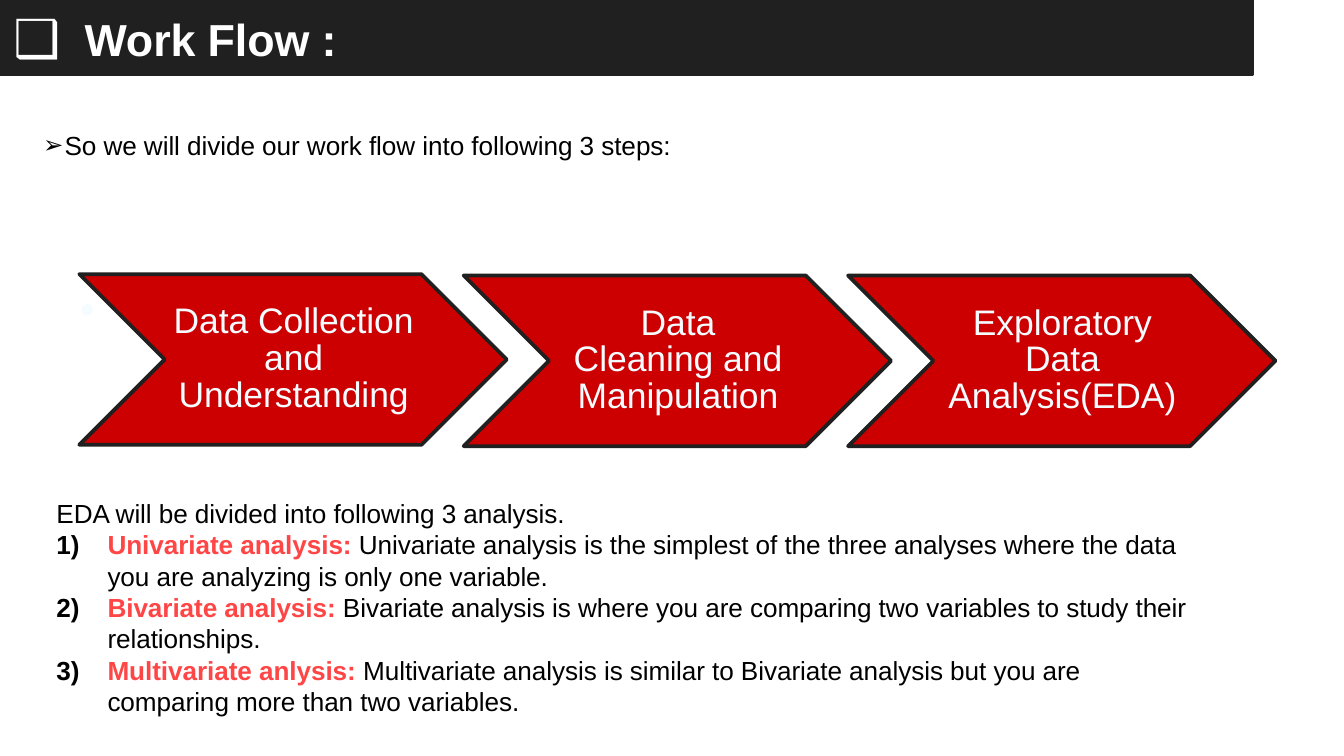
from lxml.etree import SubElement
from pptx import Presentation
from pptx.dml.color import RGBColor
from pptx.enum.shapes import MSO_SHAPE as Shape
from pptx.enum.text import MSO_ANCHOR as Anchor, PP_ALIGN as Align
from pptx.oxml.ns import qn
from pptx.util import Inches, Pt

SLIDE_WIDTH = 10
SLIDE_HEIGHT = SLIDE_WIDTH * 9 / 16
FONT = "Arial"
DARK, RED, ACCENT = "202020", "CC0000", "FF4646"
WHITE, PALE, BLACK = "FFFFFF", "F5FCFF", "000000"

TITLE = "Work Flow :"
INTRO = "So we will divide our work flow into following 3 steps:"
STEPS = [  # text, top; \v is a line break
    ("Data Collection\vand\vUnderstanding", 2.04),
    ("Data\vCleaning and\vManipulation", 2.05),
    ("Exploratory\vData\vAnalysis(EDA)", 2.05),
]
STEP_LEFT, STEP_PITCH, STEP_WIDTH, STEP_HEIGHT = 0.59, 2.86, 3.18, 1.27
ANALYSIS_INTRO = "EDA will be divided into following 3 analysis."
ANALYSES = [
    ("Univariate analysis: ", "Univariate analysis is the simplest of the three analyses "
     "where the data you are analyzing is only one variable."),
    ("Bivariate analysis: ", "Bivariate analysis is where you are comparing two variables "
     "to study their relationships."),
    ("Multivariate anlysis: ", "Multivariate analysis is similar to Bivariate analysis "
     "but you are comparing more than two variables."),
]


def rgb(color):
    return RGBColor.from_string(color)


def format_run(run, size, color, bold=False, spacing=-5):
    """Set the font; spacing between letters is in hundredths of a point."""
    run.font.name = FONT
    run.font.size = Pt(size)
    run.font.bold = bold
    run.font.color.rgb = rgb(color)
    run._r.get_or_add_rPr().set("spc", str(spacing))


def clear_margins(text_frame):
    text_frame.word_wrap = True
    text_frame.margin_left = text_frame.margin_right = 0
    text_frame.margin_top = text_frame.margin_bottom = 0


def add_text(slide, left, top, width, height):
    text_frame = slide.shapes.add_textbox(
        Inches(left), Inches(top), Inches(width), Inches(height)).text_frame
    clear_margins(text_frame)
    text_frame.margin_top = Inches(0.01)
    return text_frame


def add_block(slide, preset, left, top, width, height, fill):
    shape = slide.shapes.add_shape(
        preset, Inches(left), Inches(top), Inches(width), Inches(height))
    shape.shadow.inherit = False
    shape.fill.solid()
    shape.fill.fore_color.rgb = rgb(fill)
    shape.line.color.rgb = rgb(DARK)
    shape.line.width = Pt(2)
    return shape


def set_indent(paragraph, margin, indent=0):
    properties = paragraph._p.get_or_add_pPr()
    properties.set("marL", str(Inches(margin)))
    properties.set("indent", str(Inches(indent)))
    return properties


def set_bullet(paragraph, margin, indent, tag, size=100, color=None, **attributes):
    properties = set_indent(paragraph, margin, indent)
    if color:
        fill = SubElement(properties, qn("a:buClr"))
        SubElement(fill, qn("a:srgbClr"), val=color)
    SubElement(properties, qn("a:buSzPct"), val=str(size * 1000))
    SubElement(properties, qn("a:buFont"), typeface=FONT)
    SubElement(properties, qn(tag), **attributes)


def add_heading(slide):
    add_block(slide, Shape.RECTANGLE, 0, 0, 9.32, 0.55, DARK)
    text_frame = add_text(slide, 0.09, 0.08, 4.93, 1.12)
    title = text_frame.paragraphs[0]
    title.text = TITLE
    title.space_before = Pt(1)
    set_bullet(title, 0.54, -0.53, "a:buChar", size=117, char="❑")
    format_run(title.runs[0], 24, WHITE, bold=True)

    intro = text_frame.add_paragraph()
    intro.text = INTRO
    intro.level = 1
    intro.space_before = Pt(34)
    set_bullet(intro, 0.39, -0.16, "a:buChar", size=93, char="➢")
    format_run(intro.runs[0], 14, BLACK)


def add_steps(slide):
    dot = add_text(slide, 0.58, 2.16, 0.15, 0.26).paragraphs[0]
    dot.text = "●"
    dot.space_before = Pt(1)
    set_indent(dot, 0.01)
    format_run(dot.runs[0], 14, PALE)

    for index, (text, top) in enumerate(STEPS):
        chevron = add_block(slide, Shape.CHEVRON, STEP_LEFT + index * STEP_PITCH, top,
                            STEP_WIDTH, STEP_HEIGHT, RED)
        text_frame = chevron.text_frame
        clear_margins(text_frame)
        text_frame.vertical_anchor = Anchor.MIDDLE
        text_frame.text = text
        paragraph = text_frame.paragraphs[0]
        paragraph.alignment = Align.CENTER
        paragraph.line_spacing = 0.86
        set_indent(paragraph, 0.01)
        for run in paragraph.runs:
            format_run(run, 19, PALE, spacing=0)


def add_analyses(slide):
    text_frame = add_text(slide, 0.41, 3.69, 8.45, 1.66)
    intro = text_frame.paragraphs[0]
    intro.text = ANALYSIS_INTRO
    intro.space_before = Pt(1)
    set_indent(intro, 0.01)
    format_run(intro.runs[0], 14, BLACK)
    for name, description in ANALYSES:
        paragraph = text_frame.add_paragraph()
        paragraph.text = name
        format_run(paragraph.runs[0], 14, ACCENT, bold=True)
        run = paragraph.add_run()
        run.text = description
        format_run(run, 14, BLACK)
        set_bullet(paragraph, 0.39, -0.38, "a:buAutoNum", color=BLACK, type="arabicParenR")


def main():
    presentation = Presentation()
    presentation.slide_width = Inches(SLIDE_WIDTH)
    presentation.slide_height = Inches(SLIDE_HEIGHT)
    slide = presentation.slides.add_slide(presentation.slide_layouts[6])
    add_heading(slide)
    add_steps(slide)
    add_analyses(slide)
    presentation.save("out.pptx")


if __name__ == "__main__":
    main()
